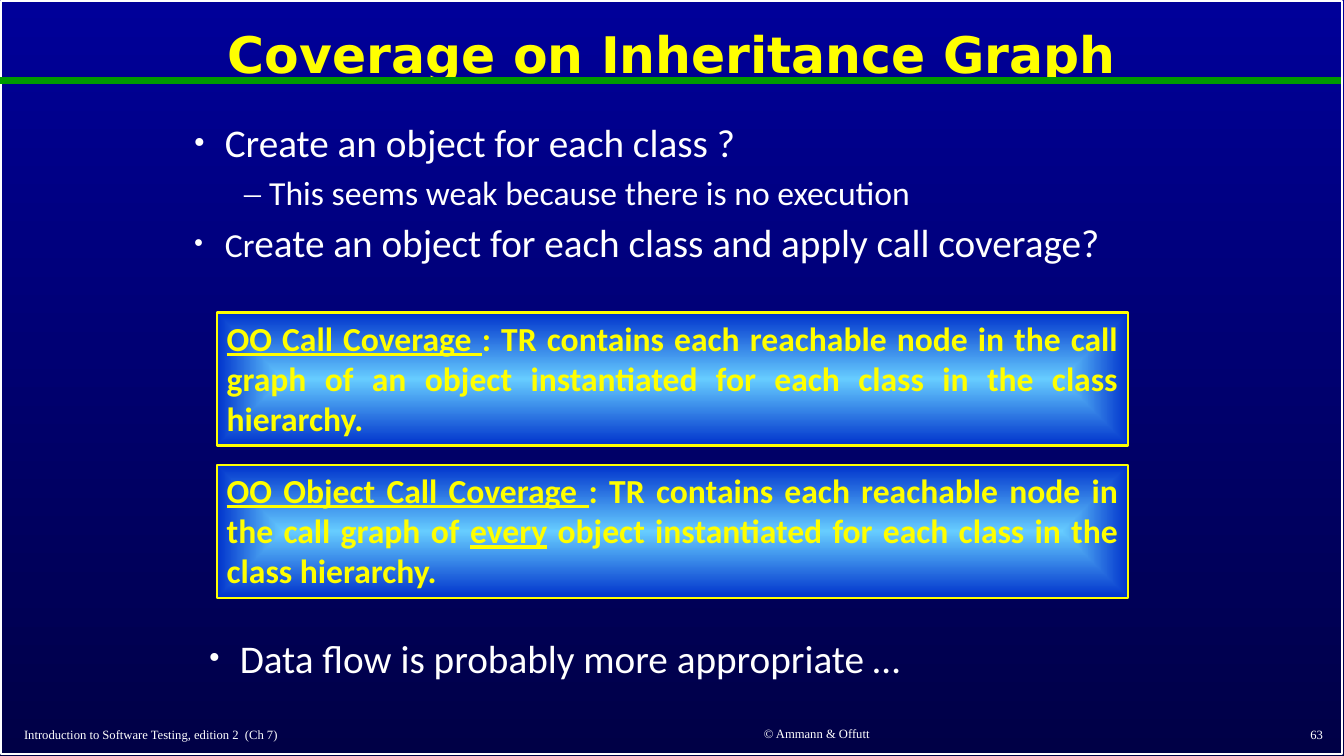
from lxml.etree import SubElement
from pptx import Presentation
from pptx.dml.color import RGBColor
from pptx.enum.shapes import MSO_CONNECTOR as Connector, MSO_SHAPE as Shape
from pptx.enum.text import MSO_ANCHOR as Anchor, MSO_AUTO_SIZE as AutoSize, PP_ALIGN as Align
from pptx.oxml.ns import qn
from pptx.util import Inches, Pt

WHITE, YELLOW = "FFFFFF", "FFFF00"
BODY_FONT = "Calibri"


def paint(color, value):
    color.rgb = RGBColor.from_string(value)


def set_font(font, name, size, color, bold=False):
    font.name, font.size, font.bold = name, Pt(size), bold
    paint(font.color, color)


def place(box, left, top, width, height):
    box.left, box.top = Inches(left), Inches(top)
    box.width, box.height = Inches(width), Inches(height)


def blend(fill, start, end):
    fill.gradient()
    for stop, value, position in zip(fill.gradient_stops, (start, end), (0, 1)):
        paint(stop.color, value)
        stop.position = position


def add_bullet(para, sign, margin, hanging, percent):
    props = para._p.get_or_add_pPr()
    props.set("marL", str(Inches(margin)))
    props.set("indent", str(-Inches(hanging)))
    SubElement(props, qn("a:buSzPct"), val=str(percent * 1000))
    SubElement(props, qn("a:buFont"), typeface="Times New Roman")
    SubElement(props, qn("a:buChar"), char=sign)


def add_backdrop(page):
    blend(page.background.fill, "000099", "000046")
    page.background.fill.gradient_angle = 270
    frame = page.shapes.add_shape(
        Shape.RECTANGLE, Inches(0.01), Inches(0.01), Inches(13.3), Inches(7.47))
    frame.shadow.inherit = False
    frame.fill.background()
    paint(frame.line.color, WHITE)
    frame.line.width = Pt(1)
    rule = page.shapes.add_connector(
        Connector.STRAIGHT, 0, Inches(0.8), Inches(13.3), Inches(0.8))
    paint(rule.line.color, "009900")
    rule.line.width = Pt(4.5)
    SubElement(rule._element.spPr, qn("a:effectLst"))


def fill_title(page, text, *area):
    title = page.shapes.title
    place(title, *area)
    title.text_frame.text = text
    title.text_frame.auto_size = AutoSize.NONE
    title.text_frame.vertical_anchor = Anchor.MIDDLE
    para = title.text_frame.paragraphs[0]
    para.alignment, para.line_spacing = Align.CENTER, 0.9
    set_font(para.font, "DejaVu Sans", 36, YELLOW, bold=True)


def fill_list(box, items, spacing, *area):
    place(box, *area)
    frame = box.text_frame
    frame.word_wrap, frame.auto_size = True, AutoSize.NONE
    for index, (level, spans) in enumerate(items):
        para = frame.add_paragraph() if index else frame.paragraphs[0]
        para.level = level
        if level:
            add_bullet(para, "–", 0.75, 0.25, 100)
        else:
            add_bullet(para, "•", 0.31, 0.31, 85)
        para.alignment, para.line_spacing = Align.LEFT, spacing
        para.space_before = Pt(7.5 if index else 0)
        set_font(para.font, BODY_FONT, spans[0][1], WHITE)
        for text, size in spans:
            span = para.add_run()
            span.text = text
            set_font(span.font, BODY_FONT, size, WHITE)


def add_definition(page, spans, *area):
    box = page.shapes.add_shape(Shape.RECTANGLE, *map(Inches, area))
    box.shadow.inherit = False
    blend(box.fill, "66CCFF", "0033CC")
    gradient = box._element.spPr.find(qn("a:gradFill"))
    gradient.remove(gradient.find(qn("a:lin")))
    route = SubElement(gradient, qn("a:path"), path="shape")
    SubElement(route, qn("a:fillToRect"), l="50000", t="50000", r="50000", b="50000")
    paint(box.line.color, YELLOW)
    box.line.width = Pt(1.5)
    frame = box.text_frame
    frame.word_wrap, frame.auto_size = True, AutoSize.SHAPE_TO_FIT_TEXT
    frame.vertical_anchor = Anchor.TOP
    para = frame.paragraphs[0]
    para.alignment = Align.JUSTIFY
    for text, underlined in spans:
        span = para.add_run()
        span.text = text
        set_font(span.font, BODY_FONT, 24, YELLOW, bold=True)
        span.font.underline = underlined


def add_footer(page, text, alignment, *area):
    box = page.shapes.add_textbox(*map(Inches, area))
    frame = box.text_frame
    frame.word_wrap, frame.vertical_anchor = True, Anchor.MIDDLE
    frame.text = text
    para = frame.paragraphs[0]
    para.alignment = alignment
    set_font(para.font, "Times New Roman", 9, WHITE)


def main():
    deck = Presentation()
    deck.slide_width, deck.slide_height = Inches(13.33), Inches(7.5)
    page = deck.slides.add_slide(deck.slide_layouts[1])
    add_backdrop(page)
    fill_title(page, "Coverage on Inheritance Graph", 0.1, 0.11, 13.13, 0.92)
    fill_list(page.placeholders[1], [
        (0, [("Create an object for each class ?", 28)]),
        (1, [("This seems weak because there is no execution", 24)]),
        (0, [("Cr", 24), ("eate an object for each class and apply call coverage?", 28)]),
    ], 0.9, 1.82, 1.18, 9.7, 1.94)
    definitions = [
        [("OO Call Coverage ", True),
         (": TR contains each reachable node in the call graph of an object "
          "instantiated for each class in the class hierarchy.", False)],
        [("OO Object Call Coverage ", True),
         (": TR contains each reachable node in the call graph of ", False),
         ("every", True),
         (" object instantiated for each class in the class hierarchy.", False)],
    ]
    for index, spans in enumerate(definitions):
        add_definition(page, spans, 2.15, 3.1 + 1.51 * index, 9.04, 1.32)
    closing = page.shapes.add_textbox(0, 0, 0, 0)
    fill_list(closing, [(0, [("Data flow is probably more appropriate …", 28)])],
              0.8, 1.97, 6.33, 9.7, 0.51)
    add_footer(page, "Introduction to Software Testing, edition 2  (Ch 7)",
               Align.LEFT, 0.14, 7.16, 5.48, 0.26)
    add_footer(page, "© Ammann & Offutt", Align.CENTER, 5.99, 7.15, 4.22, 0.26)
    add_footer(page, "63", Align.RIGHT, 10.44, 7.15, 2.78, 0.27)
    deck.save("out.pptx")


if __name__ == "__main__":
    main()
